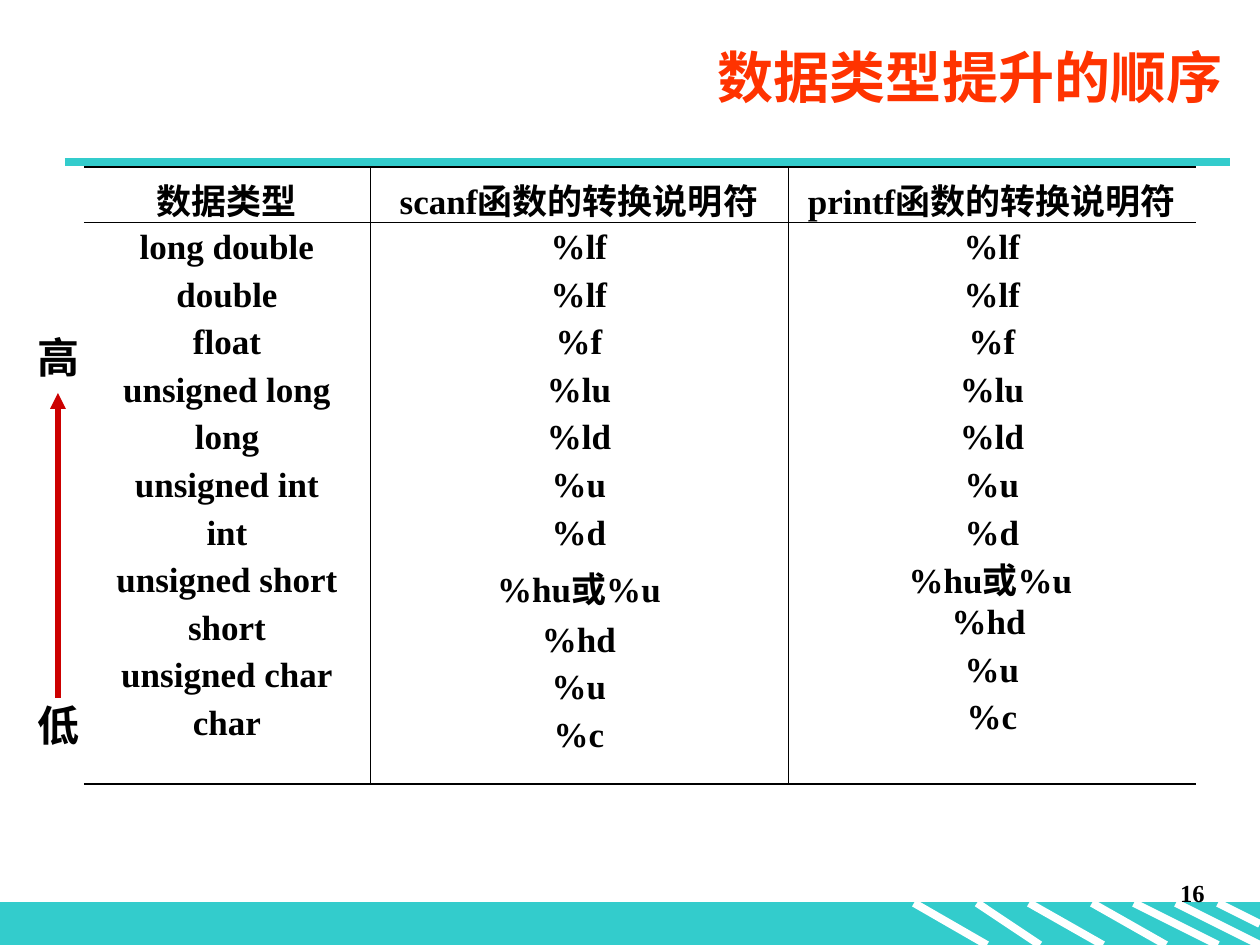
from lxml import etree
from pptx import Presentation
from pptx import util as u
from pptx.dml.color import RGBColor
from pptx.enum import shapes, text
from pptx.oxml import ns

LEFT, MID, RIGHT = text.PP_ALIGN.LEFT, text.PP_ALIGN.CENTER, text.PP_ALIGN.RIGHT
TOP, CENTRE = text.MSO_ANCHOR.TOP, text.MSO_ANCHOR.MIDDLE
TEAL, WHITE, BLACK, RED, ORANGE = "33CCCC", "FFFFFF", "000000", "CC0000", "FF3300"
HEADS = ["数据类型", "scanf函数的转换说明符", "printf函数的转换说明符"]
TYPES = ["long double", "double", "float", "unsigned long", "long", "unsigned int",
         "int", "unsigned short", "short", "unsigned char", "char"]
CODES = ["%lf", "%lf", "%f", "%lu", "%ld", "%u", "%d", "%hu或%u", "%hd", "%u", "%c"]
INDENTS = {7: 108, 8: 151}  # left-aligned lines of the printf column
STRIPES = [(914, 987, 945), (977, 1040, 945), (1029, 1103, 945), (1092, 1166, 945),
           (1134, 1218, 945), (1176, 1260, 945), (1218, 1260, 924)]


def px(n):
    return u.Emu(round(n * 914400 / 126))


def rgb(code):
    return RGBColor.from_string(code)


def sub(node, tag, **attrs):
    return etree.SubElement(node, ns.qn(tag), **attrs)


class Deck:
    font = "Times New Roman"

    def __init__(self, wide, high):
        self.file = Presentation()
        self.file.slide_width, self.file.slide_height = px(wide), px(high)
        self.slide = self.file.slides.add_slide(self.file.slide_layouts[6])

    def style(self, para, size, color, align):
        para.alignment = align
        font = para.font
        font.name, font.size, font.bold = self.font, u.Pt(size), True
        font.color.rgb = rgb(color)

    def label(self, words, box, size, color=BLACK, align=LEFT, anchor=TOP):
        frame = self.slide.shapes.add_textbox(*map(px, box)).text_frame
        frame.word_wrap, frame.vertical_anchor = True, anchor
        frame.text = words
        self.style(frame.paragraphs[0], size, color, align)

    def rect(self, box, color):
        shape = self.slide.shapes.add_shape(shapes.MSO_SHAPE.RECTANGLE, *map(px, box))
        shape.shadow.inherit = False
        shape.fill.solid()
        shape.fill.fore_color.rgb = shape.line.color.rgb = rgb(color)
        shape.line.width = u.Pt(0.75)

    def line(self, ends, color, width, arrow=False):
        line = self.slide.shapes.add_connector(shapes.MSO_CONNECTOR.STRAIGHT, *map(px, ends))
        line.line.color.rgb, line.line.width = rgb(color), u.Pt(width)
        if arrow:
            sub(line.line._get_or_add_ln(), "a:tailEnd", type="triangle")
        sub(line._element.spPr, "a:effectLst")

    def edges(self, cell, widths):
        """Draw the left, right, top and bottom borders; width 0 hides one."""
        props = cell._tc.get_or_add_tcPr()
        for side, width in zip("LRTB", widths):
            edge = sub(props, f"a:ln{side}", w=str(u.Pt(width)))
            if width:
                sub(sub(edge, "a:solidFill"), "a:srgbClr", val=BLACK)
            else:
                sub(edge, "a:noFill")
        cell.fill.background()

    def fill(self, cell, lines, indents):
        cell.text = "\n".join(lines)
        for i, para in enumerate(cell.text_frame.paragraphs):
            if i in indents:
                para._p.get_or_add_pPr().set("marL", str(px(indents[i])))
            elif i:
                para.space_before = u.Pt(5)
            self.style(para, 20, BLACK, LEFT if i in indents else MID)

    def table(self, box, cols, rows, cells):
        grid = self.slide.shapes.add_table(len(rows), len(cols), *map(px, box)).table
        grid.first_row = grid.horz_banding = False
        for col, wide in zip(grid.columns, cols):
            col.width = px(wide)
        for row, high in zip(grid.rows, rows):
            row.height = px(high)
        thin, thick, last = 0.45, 1.08, len(cols) - 1
        for r, line in enumerate(cells):
            for c, (lines, indents) in enumerate(line):
                cell = grid.cell(r, c)
                self.edges(cell, (thin if c else 0, thin if c < last else 0,
                                  thin if r else thick, thick if r else thin))
                self.fill(cell, lines, indents)


def main():
    deck = Deck(1260, 945)
    deck.rect((0, 903, 1260, 42), TEAL)
    for start, end, foot in STRIPES:
        deck.line((start, 903, end, foot), WHITE, 4.5)
    deck.line((65, 162, 1230, 162), TEAL, 4.5)
    deck.label("16", (955, 872, 262, 63), 14, align=RIGHT)
    for word, top in (("高", 325), ("低", 693)):
        deck.label(word, (25, top, 73, 63), 24)
    heads = [([head], {}) for head in HEADS]
    body = [(TYPES, {}), (CODES, {}), (CODES, INDENTS)]
    deck.table((84, 167, 1111, 618), (286, 418, 408), (55, 562), (heads, body))
    deck.line((58, 698, 58, 393), RED, 3, arrow=True)
    deck.label("数据类型提升的顺序", (164, 0, 1071, 152), 32, ORANGE, RIGHT, CENTRE)
    deck.file.save("out.pptx")


if __name__ == "__main__":
    main()
